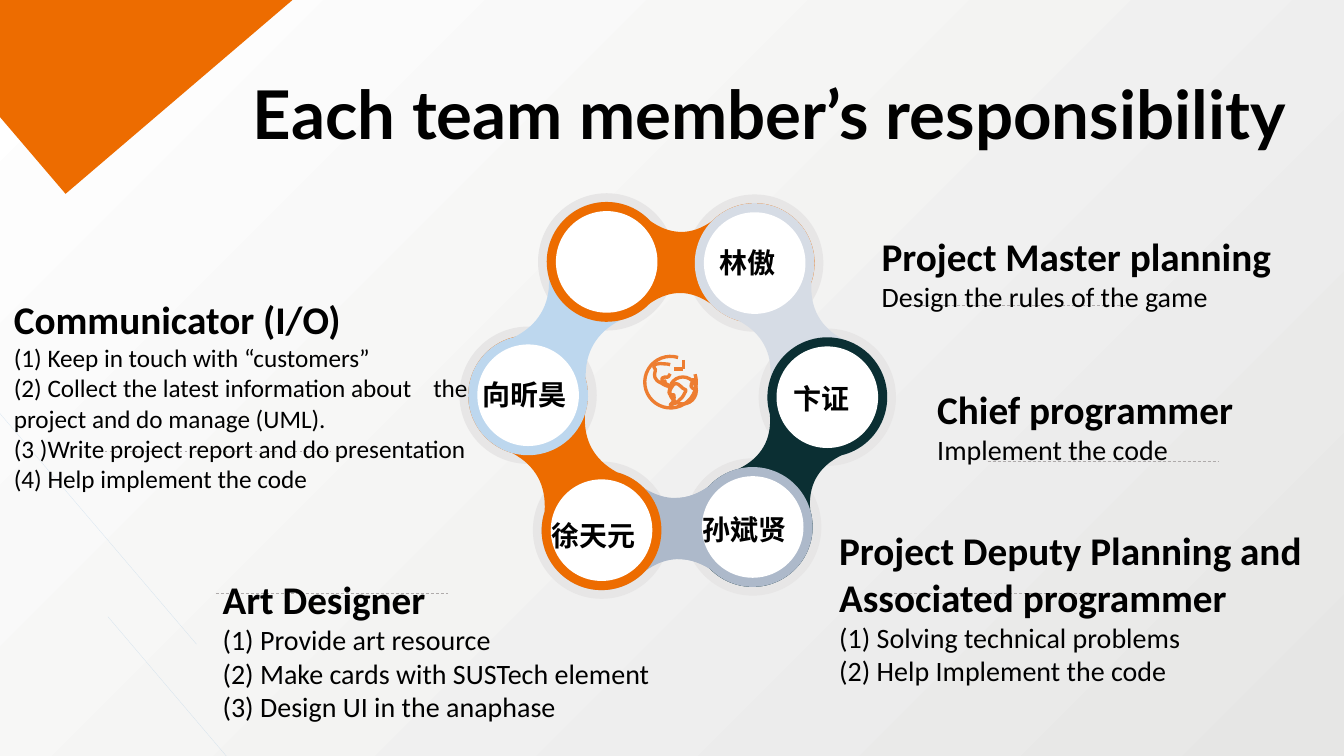
"""Build a slide showing each team member's responsibility around a ring of six names."""
from math import atan2, cos, degrees, hypot, radians, sin, tan

from lxml.etree import SubElement
from pptx import Presentation
from pptx.dml.color import RGBColor
from pptx.enum.dml import MSO_LINE_DASH_STYLE as Dash
from pptx.enum.shapes import MSO_CONNECTOR as Conn, MSO_SHAPE as Shape
from pptx.enum.text import MSO_ANCHOR as Anchor, MSO_AUTO_SIZE as Auto, PP_ALIGN as Align
from pptx.oxml.ns import qn
from pptx.util import Cm, Pt

COLORS = {
    "dark": "E6E6E5", "white": "FFFFFF", "black": "000000", "orange": "ED6C00",
    "halo": "E7E6E6", "slate": "ADB9CA", "sky": "BDD7EE", "mist": "D6DCE5",
    "teal": "0B2F33", "icon": "ED7D31", "rule": "AFABAB", "hair": "5B9BD5",
}
TITLE = "Each team member’s responsibility"
NODES = {
    "L": (13.31, 9.96), "BL": (15.16, 13.36), "BR": (18.97, 13.28),
    "R": (20.85, 10.01), "TR": (19.02, 6.63), "TL": (15.29, 6.6),
}
LINKS = [
    ("BL", "BR", "slate", False), ("L", "BL", "orange", False), ("L", "TL", "sky", False),
    ("TL", "TR", "orange", False), ("TR", "R", "mist", False), ("R", "BR", "teal", False),
    ("BL", "BR", "slate", True),
]
HALO_R, LINK_R, DISC_R = 1.73, 1.51, 1.28
NECK, JOINT_IN, JOINT_UP = 0.77, 1.09, 1.04
NAMES = [
    ("林傲", 17.5, 6.07, 2.7), ("卞证", 19.35, 9.5, 2.7), ("孙斌贤", 17.42, 12.8, 2.7),
    ("徐天元", 13.61, 12.93, 2.7), ("向昕昊", 11.2, 9.4, 4.06),
]
ROLES = [
    ((21.97, 5.72, 10.87, 2.31), 20, "Project Master planning", ["Design the rules of the game"]),
    ((23.37, 9.58, 8.81, 2.31), 20, "Chief programmer", ["Implement the code"]),
    ((0.1, 7.32, 12.32, 5.97), 18, "Communicator (I/O)", [
        "(1) Keep in touch with “customers”",
        "(2) Collect the latest information about\tthe project and do manage (UML).",
        "(3 )Write project report and do presentation",
        "(4) Help implement the code"]),
    ((5.36, 14.38, 12.24, 4.01), 20, "Art Designer", [
        "(1) Provide art resource", "(2) Make cards with SUSTech element",
        "(3) Design UI in the anaphase"]),
    ((20.9, 13.13, 12.45, 4.88), 20, "Project Deputy Planning and Associated programmer", [
        "(1) Solving technical problems", "(2) Help Implement the code"]),
]
TAB_STOP = 10.57
RULES = [(22.73, 7.7), (24.89, 11.63), (2.51, 11.38), (5.44, 14.94), (22.28, 14.94)]
RULE_LENGTH = 5.84
HAIRLINES = [((2.72, 15.54), (7.19, 20.8)), ((-6.76, 2.49), (4.95, 16.23))]
GLOBE_TICKS = [((16.99, 9.3), (17.22, 9.3)), ((17.22, 9.07), (17.22, 9.3))]
GLOBE_CENTER, GLOBE_R, GLOBE_ARC = (16.9, 9.63), 0.65, (-73, -378)
BALL_CENTER, BALL_R = (17.21, 9.84), 0.34
WEST = [
    (16.89, 9.19), (16.84, 9.17), (16.79, 9.17), (16.74, 9.17), (16.61, 9.14), (16.43, 9.19),
    (16.48, 9.25), (16.54, 9.27), (16.51, 9.35), (16.51, 9.37), (16.48, 9.45), (16.48, 9.58),
    (16.66, 9.65), (16.81, 9.75), (16.84, 9.73), (16.84, 9.73), (16.87, 9.75), (16.81, 9.75),
    (16.81, 9.7), (16.84, 9.68), (16.81, 9.68), (16.79, 9.68), (16.76, 9.68), (16.76, 9.63),
    (16.76, 9.6), (16.76, 9.58), (16.74, 9.65), (16.69, 9.6), (16.66, 9.53), (16.71, 9.5),
    (16.76, 9.5), (16.84, 9.53), (16.87, 9.47), (16.89, 9.42),
]
EAST = [
    (16.89, 9.83), (16.89, 9.93), (16.81, 9.86), (16.89, 9.93), (16.97, 10.01), (16.99, 9.86),
    (16.99, 10.03), (16.97, 10.21), (16.81, 10.21), (16.94, 10.19), (17.07, 10.13), (17.04, 10.19),
    (17.12, 10.08), (17.22, 10.01), (17.22, 9.96), (17.27, 9.88), (17.32, 9.8), (17.25, 9.83),
    (17.2, 9.78), (17.15, 9.73), (17.04, 9.6), (16.97, 9.7), (16.92, 9.75), (16.89, 9.83),
    (16.89, 9.83),
]
COAST = [
    (17.48, 9.53), (17.48, 9.55), (17.48, 9.55), (17.48, 9.58), (17.45, 9.63), (17.37, 9.73),
    (17.45, 9.78), (17.53, 9.83), (17.53, 9.8), (17.53, 9.8),
]


def rgb(name):
    return RGBColor.from_string(COLORS[name])


def paint(sp, fill=None, line=None, width=2.38):
    sp.shadow.inherit = False
    if fill:
        sp.fill.solid()
        sp.fill.fore_color.rgb = rgb(fill)
    else:
        sp.fill.background()
    if line:
        sp.line.color.rgb = rgb(line)
        sp.line.width = Pt(width)
    else:
        sp.line.fill.background()
    return sp


def circle(s, center, r, **fmt):
    x, y = center
    return paint(s.shapes.add_shape(Shape.OVAL, Cm(x - r), Cm(y - r), Cm(2 * r), Cm(2 * r)), **fmt)


def curve(s, points, close=False, **fmt):
    pts = [(Cm(x), Cm(y)) for x, y in points]
    fb = s.shapes.build_freeform(*pts[0])
    fb.add_line_segments(pts[1:], close=close)
    sp = fb.convert_to_shape()
    steps = list(sp._element.iter(qn("a:lnTo")))
    for first, *others in zip(steps[::3], steps[1::3], steps[2::3]):
        first.tag = qn("a:cubicBezTo")
        for other in others:
            first.append(other[0])
            other.getparent().remove(other)
    return paint(sp, **fmt)


def line(s, start, end, color, width, dash=None, alpha=None):
    c = s.shapes.add_connector(Conn.STRAIGHT, *(Cm(v) for v in (*start, *end)))
    c.line.color.rgb = rgb(color)
    c.line.width = Pt(width)
    if dash:
        c.line.dash_style = dash
    if alpha:
        clr = next(c._element.spPr.iter(qn("a:srgbClr")))
        SubElement(clr, qn("a:alpha"), val=str(alpha * 1000))
    SubElement(c._element.spPr, qn("a:effectLst"))


def write(p, text, size=20, bold=False, font="Calibri", align=Align.LEFT, spacing=None):
    if "\t" in text:
        tabs = SubElement(p._p.get_or_add_pPr(), qn("a:tabLst"))
        SubElement(tabs, qn("a:tab"), pos=str(Cm(TAB_STOP)), algn="l")
    p.alignment = align
    if spacing:
        p.line_spacing = spacing
    r = p.add_run()
    r.text = text
    r.font.size, r.font.bold, r.font.name = Pt(size), bold, font
    r.font.color.rgb = rgb("black")


def text_frame(s, box):
    tf = s.shapes.add_textbox(*(Cm(v) for v in box)).text_frame
    tf.word_wrap, tf.auto_size = True, Auto.SHAPE_TO_FIT_TEXT
    return tf


def arc(center, r, first, last, parts=4):
    step = radians(last - first) / parts
    pull = 4 / 3 * tan(step / 4)
    local = [(1, 0)]
    for i in range(parts):
        a, b = i * step, (i + 1) * step
        local += [(cos(a) - pull * sin(a), sin(a) + pull * cos(a)),
                  (cos(b) + pull * sin(b), sin(b) - pull * cos(b)), (cos(b), sin(b))]
    return place(local, center, radians(first), r)


def place(points, center, turn, scale=1):
    return [(center[0] + scale * (x * cos(turn) - y * sin(turn)),
             center[1] + scale * (x * sin(turn) + y * cos(turn))) for x, y in points]


def link(a, b, half):
    (ax, ay), (bx, by) = a, b
    reach = hypot(bx - ax, by - ay) / 2
    joint = reach - JOINT_IN
    angle = degrees(atan2(JOINT_UP, -JOINT_IN))
    neck = [(0, NECK), (joint / 3, NECK), (joint * 2 / 3, NECK + (JOINT_UP - NECK) / 3),
            (joint, JOINT_UP)]
    local = neck + arc((reach, 0), LINK_R, angle, -angle)[1:]
    local += [(x, -y) for x, y in neck[-2::-1]]
    if not half:
        local += [(-x, -y) for x, y in local[1:]]
    return place(local, ((ax + bx) / 2, (ay + by) / 2), atan2(by - ay, bx - ax))


def main():
    prs = Presentation()
    prs.slide_width, prs.slide_height = Cm(33.87), Cm(19.05)
    s = prs.slides.add_slide(prs.slide_layouts[5])
    bg = s.background.fill
    bg.gradient()
    bg.gradient_angle = 135
    for stop, name in zip(bg.gradient_stops, ("dark", "white")):
        stop.color.rgb = rgb(name)

    corner = s.shapes.add_shape(Shape.RECTANGLE, Cm(-1.57), Cm(-6.63), Cm(8.53), Cm(10.03))
    paint(corner, fill="orange").rotation = 49.5
    for start, end in HAIRLINES:
        line(s, start, end, "hair", 0.2, alpha=21)

    for center in NODES.values():
        circle(s, center, HALO_R, fill="halo")
    for a, b, color, half in LINKS:
        curve(s, link(NODES[a], NODES[b], half), close=True, fill=color)
    for center in NODES.values():
        circle(s, center, DISC_R, fill="white")
    for name, x, y, w in NAMES:
        write(text_frame(s, (x, y, w, 1.12)).paragraphs[0], name, bold=True, align=Align.CENTER)

    circle(s, BALL_CENTER, BALL_R, line="icon")
    for start, end in GLOBE_TICKS:
        line(s, start, end, "icon", 2.38)
    globe = arc(GLOBE_CENTER, GLOBE_R, *GLOBE_ARC)
    for points, close in ((globe, False), (WEST, False), (EAST, True), (COAST, False)):
        curve(s, points, close=close, line="icon")

    for x, y in RULES:
        line(s, (x, y), (x + RULE_LENGTH, y), "rule", 0.5, dash=Dash.DASH)
    for box, size, role, duties in ROLES:
        tf = text_frame(s, box)
        write(tf.paragraphs[0], role, size=28, bold=True)
        for duty in duties:
            write(tf.add_paragraph(), duty, size=size)

    title = s.shapes.title
    title.left, title.top, title.width, title.height = Cm(6.12), Cm(1.14), Cm(27.75), Cm(3.66)
    tf = title.text_frame
    tf.vertical_anchor, tf.auto_size, tf.word_wrap = Anchor.MIDDLE, Auto.NONE, True
    write(tf.paragraphs[0], TITLE, size=48, bold=True, font="Lato", spacing=0.9)
    prs.save("out.pptx")


if __name__ == "__main__":
    main()
